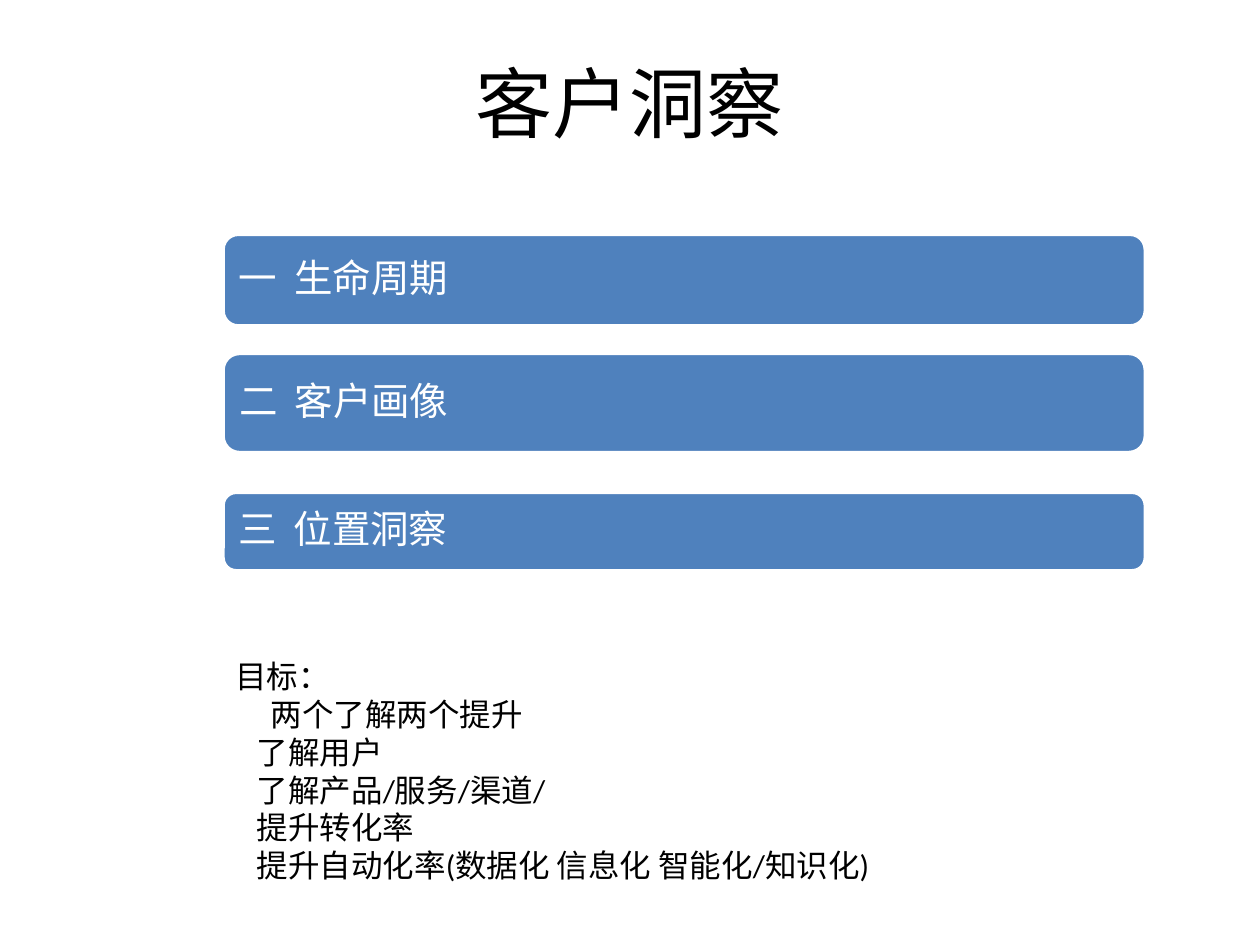
from dataclasses import dataclass

from pptx import Presentation
from pptx.dml.color import RGBColor
from pptx.enum.shapes import MSO_SHAPE
from pptx.enum.text import MSO_ANCHOR, PP_ALIGN
from pptx.oxml import parse_xml
from pptx.oxml.ns import nsdecls
from pptx.util import Inches, Pt

BLUE = RGBColor(0x4F, 0x81, 0xBD)
WHITE = RGBColor(0xFF, 0xFF, 0xFF)
BLACK = RGBColor(0, 0, 0)
FONT = "Calibri"

WIDE, HIGH = Inches(10), Inches(7.5)
LEFT, SPAN = 0.177, 0.732  # shares of the slide width
TAB = Inches(0.44)  # from bar number to bar label


@dataclass
class Bar:
    num: str
    label: str
    top: float  # shares of the slide height
    high: float


@dataclass
class Line:
    text: str
    indent: float = 0.17  # inches


BARS = [
    Bar("一", "生命周期", 0.248, 0.097),
    Bar("二", "客户画像", 0.374, 0.105),
    Bar("三", "位置洞察", 0.521, 0.083),
]

GOALS = [
    Line("目标：", 0),
    Line("两个了解两个提升", 0.28),
    Line("了解用户"),
    Line("了解产品/服务/渠道/"),
    Line("提升转化率"),
    Line("提升自动化率(数据化 信息化 智能化/知识化)"),
]


def place(x: float, y: float, w: float, h: float) -> tuple[int, int, int, int]:
    """Turn shares of the slide into lengths."""
    return int(x * WIDE), int(y * HIGH), int(w * WIDE), int(h * HIGH)


def style(para, size: float, color: RGBColor) -> None:
    font = para.font
    font.name, font.size, font.color.rgb = FONT, Pt(size), color


def add_title(slide, text: str) -> None:
    frame = slide.shapes.add_textbox(*place(0.05, 0.04, 0.9, 0.135)).text_frame
    frame.word_wrap = True
    frame.vertical_anchor = MSO_ANCHOR.MIDDLE
    para = frame.paragraphs[0]
    para.text, para.alignment = text, PP_ALIGN.CENTER
    style(para, 44, BLACK)


def add_bar(slide, bar: Bar) -> None:
    shape = slide.shapes.add_shape(
        MSO_SHAPE.ROUNDED_RECTANGLE, *place(LEFT, bar.top, SPAN, bar.high))
    shape.shadow.inherit = False
    shape.fill.solid()
    shape.fill.fore_color.rgb = BLUE
    shape.line.color.rgb = WHITE
    shape.line.width = Pt(2)
    frame = shape.text_frame
    frame.word_wrap = True
    frame.vertical_anchor = MSO_ANCHOR.MIDDLE
    frame.margin_left = frame.margin_right = Inches(0.09)
    para = frame.paragraphs[0]
    para.text = f"{bar.num}\t{bar.label}"
    para.alignment, para.line_spacing = PP_ALIGN.LEFT, 0.9
    style(para, 22, WHITE)
    # Tab stop lines up the labels
    para._p.get_or_add_pPr().append(parse_xml(
        f'<a:tabLst {nsdecls("a")}><a:tab pos="{TAB}" algn="l"/></a:tabLst>'))


def add_goals(slide, lines: list[Line]) -> None:
    box = slide.shapes.add_textbox(*place(LEFT, 0.689, 0.724, 0.256))
    frame = box.text_frame
    frame.word_wrap = True
    for i, line in enumerate(lines):
        para = frame.add_paragraph() if i else frame.paragraphs[0]
        para.text = line.text
        style(para, 18, BLACK)
        para._p.get_or_add_pPr().set("marL", str(Inches(line.indent)))


def main() -> None:
    deck = Presentation()
    deck.slide_width, deck.slide_height = WIDE, HIGH
    slide = deck.slides.add_slide(deck.slide_layouts[6])
    # Heading
    add_title(slide, "客户洞察")
    # Three topics
    for bar in BARS:
        add_bar(slide, bar)
    # Goals below
    add_goals(slide, GOALS)
    deck.save("out.pptx")


if __name__ == "__main__":
    main()
